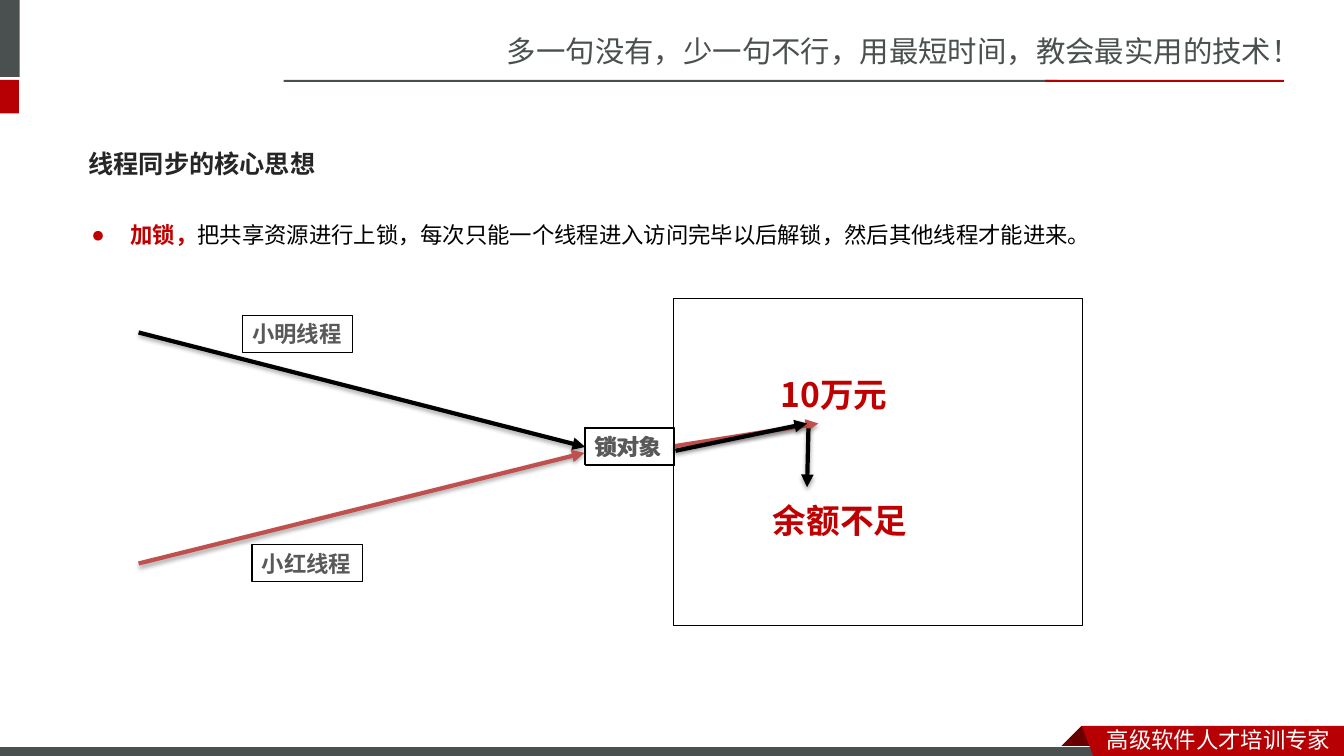
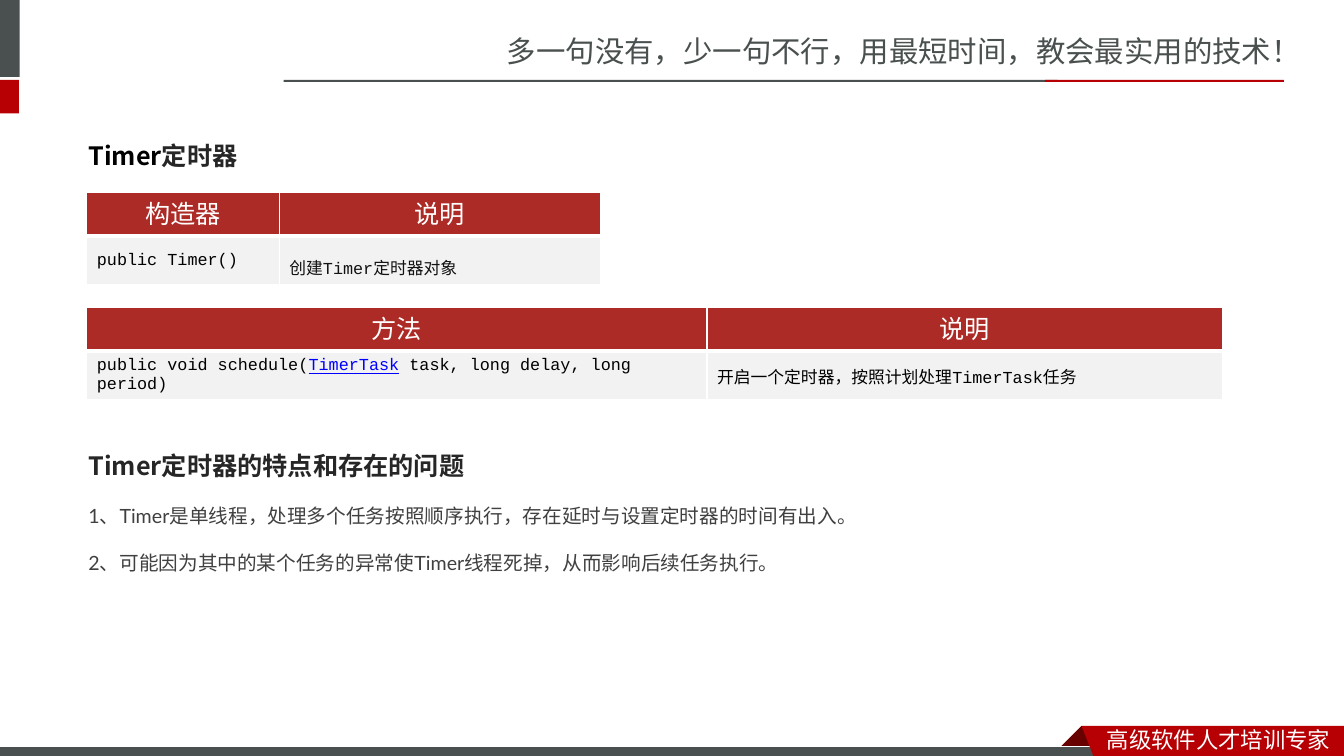
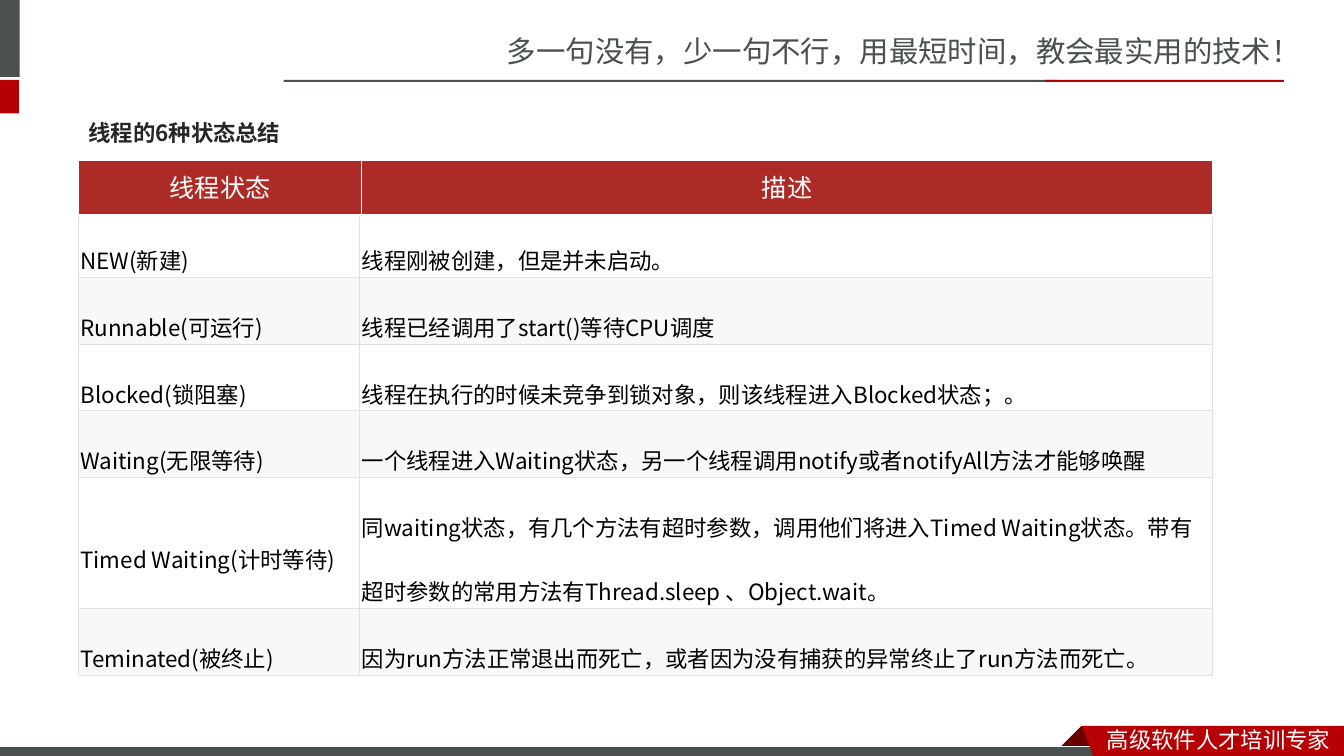
import pptx
import pptx.util
import pptx.oxml
import pptx.oxml.ns
import pptx.dml.color
import pptx.enum.shapes
import pptx.enum.text
import lxml.etree

Pt = pptx.util.Pt
RGB = pptx.dml.color.RGBColor.from_string
Shape = pptx.enum.shapes.MSO_SHAPE
Anchor = pptx.enum.text.MSO_ANCHOR
Align = pptx.enum.text.PP_ALIGN
qn = pptx.oxml.ns.qn

INK = {
    "slate": "49504F", "red": "B60004", "maroon": "680000", "white": "FFFFFF",
    "black": "000000", "dark": "262626", "grey": "595959", "text": "404040",
    "alert": "C00000", "rose": "C0504D", "head": "AD2B26", "pale": "F2F2F2",
    "mist": "F8F8F8", "rim": "DFE2E5", "link": "0000FF", "soft": "121212",
}
SC, JP = "Noto Sans CJK SC", "Noto Sans CJK JP"


def put(para, runs, look, form):
    """Fill a paragraph with (text, changes) runs, styled by look and form."""
    for key, val in form.items():
        setattr(para, key, val)
    for text, more in runs:
        run = para.add_run()
        run.text = text
        style = {"bold": False, **look, **more}
        run.font.color.rgb = RGB(INK[style.pop("ink")])
        for key, val in style.items():
            setattr(run.font, key, val)
        east = lxml.etree.SubElement(run.font._element, qn("a:ea"))
        east.set("typeface", JP if style["name"] == JP else SC)


def grid(slide, left, top, cols, bands, pad, rims):
    """Add a table; a band is (height, fill, look, form, cells), rims is
    (colour, sides, top of the first row, other lines)."""
    tall = sum(band[0] for band in bands)
    table = slide.shapes.add_table(
        len(bands), len(cols), Pt(left), Pt(top), Pt(sum(cols)), Pt(tall)).table
    table.horz_banding = False
    for col, wide in zip(table.columns, cols):
        col.width = Pt(wide)
    tone, side, first, rest = rims
    for r, (high, fill, look, form, cells) in enumerate(bands):
        table.rows[r].height = Pt(high)
        for c, runs in enumerate(cells):
            cell = table.cell(r, c)
            cell.vertical_anchor = Anchor.MIDDLE
            cell.margin_left = cell.margin_right = Pt(pad[0])
            cell.margin_top = cell.margin_bottom = Pt(pad[1])
            cell.fill.solid()
            cell.fill.fore_color.rgb = RGB(INK[fill])
            put(cell.text_frame.paragraphs[0], runs, look, form)
            props = cell._tc.get_or_add_tcPr()
            edges = {"lnL": side, "lnR": side, "lnT": rest if r else first, "lnB": rest}
            for spot, (tag, wide) in enumerate(edges.items()):
                edge = lxml.etree.Element(qn("a:" + tag), w=str(Pt(wide)))
                fore = lxml.etree.SubElement(edge, qn("a:solidFill"))
                lxml.etree.SubElement(fore, qn("a:srgbClr"), val=INK[tone])
                props.insert(spot, edge)
    return table


deck = pptx.Presentation()
deck.slide_width, deck.slide_height = Pt(960), Pt(540)

# Slides and their titles
titles = [
    (1, (56, 96, 847, 41), Anchor.MIDDLE, 1.0, 18, [("线程同步的核心思想", {})]),
    (1, (56, 75, 484, 45), Anchor.TOP, 2.0, 18,
     [("Timer", {"ink": "black"}), ("定时器", {})]),
    (5, (56, 74, 847, 41), Anchor.MIDDLE, 1.0, 16, [("线程的6种状态总结", {})]),
]
slides = []
for kind, box, anchor, space, size, runs in titles:
    slide = deck.slides.add_slide(deck.slide_layouts[kind])
    title = slide.shapes.title
    title.left, title.top, title.width, title.height = map(Pt, box)
    frame = title.text_frame
    frame.auto_size = pptx.enum.text.MSO_AUTO_SIZE.NONE
    frame.vertical_anchor = anchor
    put(frame.paragraphs[0], runs,
        {"name": JP, "size": Pt(size), "bold": True, "ink": "dark"},
        {"alignment": Align.LEFT, "line_spacing": space})
    slides.append(slide)
lock, timer, state = slides

# Bands and slogans, drawn once and moved to the master
bands = [
    ("slate", (-4, 0, 18, 55)),
    ("red", (-4, 57, 17.5, 24)),
    ("slate", (202.5, 57, 553, 1.5)),
    ("red", (746.5, 57, 170.5, 1.5)),
    ("maroon", [(772.5, 518.5), (788.5, 534.5), (787.5, 535), (757.5, 535), (756.5, 534.5)]),
    ("slate", (-0.5, 533.5, 792, 8.5)),
    ("red", [(772.5, 518.5), (960, 518.5), (960, 543), (782, 542.5)]),
]
shared = []
for tone, spot in bands:
    if isinstance(spot, list):
        dots = [(Pt(x), Pt(y)) for x, y in spot]
        pen = lock.shapes.build_freeform(*dots[0])
        pen.add_line_segments(dots[1:])
        band = pen.convert_to_shape()
    else:
        band = lock.shapes.add_shape(Shape.RECTANGLE, *map(Pt, spot))
    band.shadow.inherit = False
    band.fill.solid()
    band.fill.fore_color.rgb = RGB(INK[tone])
    band.line.fill.background()
    shared.append(band)
strip = shared[5]
strip.line.color.rgb = RGB(INK["white"])
strip.line.width = Pt(0.75)

slogans = [
    ("多一句没有，少一句不行，用最短时间，教会最实用的技术！", (355, 20, 605.5, 34), 21, "slate"),
    ("高级软件人才培训专家", (783.5, 515, 176.5, 27), 16, "white"),
]
for text, box, size, tone in slogans:
    label = lock.shapes.add_textbox(*map(Pt, box))
    label.text_frame.word_wrap = True
    put(label.text_frame.paragraphs[0], [(text, {})],
        {"name": SC, "size": Pt(size), "ink": tone}, {})
    shared.append(label)
for num, item in enumerate(shared, 101):
    item._element.nvSpPr.cNvPr.set("id", str(num))
    deck.slide_master.shapes._spTree.append(item._element)

# Body lists
note = {"name": "Lato", "size": Pt(14), "ink": "text"}
lists = [
    (lock, (58, 145, 847, 50), 1.5, 28, "●", [
        [("加锁，", {"bold": True, "ink": "alert"}),
         ("把共享资源进行上锁，每次只能一个线程进入访问完毕以后解锁，然后其他线程才能进来。", {})]],
     {"name": SC, "size": Pt(16), "ink": "black"}),
    (timer, (56, 296.5, 848, 114), 2.0, 0, None, [
        [("Timer定时器的特点和存在的问题",
          {"name": JP, "size": Pt(18), "bold": True, "ink": "dark"})],
        [("1、Timer是单线程，处理多个任务按照顺序执行，存在延时与设置定时器的时间有出入。", {})],
        [("2、可能因为其中的某个任务的异常使Timer线程死掉，从而影响后续任务执行。", {})]],
     note),
]
for slide, box, space, dent, mark, lines, look in lists:
    body = slide.placeholders[1]
    body.left, body.top, body.width, body.height = map(Pt, box)
    frame = body.text_frame
    frame.auto_size = pptx.enum.text.MSO_AUTO_SIZE.NONE
    for num, runs in enumerate(lines):
        para = frame.add_paragraph() if num else frame.paragraphs[0]
        put(para, runs, look, {"line_spacing": space, "space_before": Pt(0)})
        props = para._p.get_or_add_pPr()
        props.set("marL", str(Pt(dent)))
        props.set("indent", str(-Pt(dent)))
        if mark:
            lxml.etree.SubElement(props, qn("a:buChar"), char=mark)
        else:
            lxml.etree.SubElement(props, qn("a:buNone"))

# Lock diagram: boxes and arrows from back to front
tag = {"name": JP, "size": Pt(16), "bold": True, "ink": "grey"}
loud = {"name": JP, "size": Pt(24), "bold": True, "ink": "alert"}
parts = [
    ("box", "", (481, 213, 292, 234), tag),
    ("box", "锁对象", (418, 306, 64, 26.5), tag),
    ("arrow", "black", (99, 237.5, 418, 319), None),
    ("box", "小明线程", (173, 225, 79, 26.5), tag),
    ("arrow", "rose", (99, 402.5, 417.5, 323.5), None),
    ("box", "小红线程", (180, 389, 79, 26.5), tag),
    ("box", " 10万元", (545, 263.5, 142.5, 65.5), loud),
    ("arrow", "rose", (481, 318.5, 584.5, 302.5), None),
    ("box", "锁对象", (417.5, 305.5, 64, 26.5), tag),
    ("arrow", "black", (482.5, 322, 576.5, 302.5), None),
    ("arrow", "black", (577.5, 306, 576.5, 348), None),
    ("box", "余额不足", (545, 353.5, 142.5, 65.5), loud),
]
shade = pptx.oxml.parse_xml(
    '<a:effectLst xmlns:a="http://schemas.openxmlformats.org/drawingml/2006/main">'
    '<a:outerShdw blurRad="40000" dist="23000" dir="5400000" rotWithShape="0">'
    '<a:srgbClr val="000000"><a:alpha val="35000"/></a:srgbClr>'
    '</a:outerShdw></a:effectLst>')
drawn = []
for kind, text, spot, look in parts:
    if kind == "arrow":
        item = lock.shapes.add_connector(
            pptx.enum.shapes.MSO_CONNECTOR.STRAIGHT, *map(Pt, spot))
        item.line.color.rgb = RGB(INK[text])
        item.line.width = Pt(3)
        lxml.etree.SubElement(item.line._get_or_add_ln(), qn("a:tailEnd"), type="triangle")
        item._element.spPr.append(pptx.oxml.parse_xml(lxml.etree.tostring(shade)))
    else:
        item = lock.shapes.add_shape(Shape.RECTANGLE, *map(Pt, spot))
        item.shadow.inherit = False
        frame = item.text_frame
        frame.word_wrap = True
        if look is loud:
            item.fill.solid()
            item.fill.fore_color.rgb = RGB(INK["white"])
            item.line.fill.background()
            frame.vertical_anchor = Anchor.TOP
        else:
            item.fill.background()
            item.line.color.rgb = RGB(INK["black"])
            item.line.width = Pt(0.75)
            frame.vertical_anchor = Anchor.MIDDLE
        if text:
            put(frame.paragraphs[0], [(text, {})], look, {"alignment": Align.LEFT})
    drawn.append(item)
drawn[2].end_connect(drawn[1], 1)
drawn[7].begin_connect(drawn[8], 3)

# Timer tables
head = {"name": "Roboto", "size": Pt(18), "ink": "white"}
mid = {"alignment": Align.CENTER, "line_spacing": Pt(24)}
code = {"name": "Courier New", "size": Pt(12), "ink": "black"}
wide, tight = (7.2, 3.6), (1.5, 0.75)
frost = ("white", 1, 1, 3)
tables = [
    (137.5, (137.5, 229.5), ("构造器", "说明"),
     [[("public Timer()", {})], [("创建Timer定时器对象", {"ink": "soft"})]]),
    (219.5, (443, 368.5), ("方法", "说明"),
     [[("public void schedule(", {}), ("TimerTask", {"ink": "link", "underline": True}),
       (" task, long delay, long period)", {})],
      [("开启一个定时器，按照计划处理TimerTask任务", {})]]),
]
made = []
for top, cols, heads, cells in tables:
    made.append(grid(timer, 62, top, cols, [
        (24.5, "head", head, mid, [[(text, {})] for text in heads]),
        (35.5, "pale", code, {}, cells)], wide, frost))
para = made[0].cell(1, 1).text_frame.paragraphs[0]
para.line_spacing, para.space_before = 1.5, Pt(2.4)

# Thread states
rows = [
    (39, "NEW(新建)", "线程刚被创建，但是并未启动。"),
    (39, "Runnable(可运行)", "线程已经调用了start()等待CPU调度"),
    (32, "Blocked(锁阻塞)", "线程在执行的时候未竞争到锁对象，则该线程进入Blocked状态；。"),
    (36.5, "Waiting(无限等待)",
     "一个线程进入Waiting状态，另一个线程调用notify或者notifyAll方法才能够唤醒"),
    (82, "Timed Waiting(计时等待)",
     "同waiting状态，有几个方法有超时参数，调用他们将进入Timed Waiting状态。"
     "带有超时参数的常用方法有Thread.sleep 、Object.wait。"),
    (32, "Teminated(被终止)",
     "因为run方法正常退出而死亡，或者因为没有捕获的异常终止了run方法而死亡。"),
]
plain = {"name": JP, "size": Pt(16), "ink": "black"}
body = grid(state, 56, 150.5, (201, 609), [
    (high, "mist" if num % 2 else "white", plain, {"line_spacing": 2.0},
     [[(text, {})] for text in texts])
    for num, (high, *texts) in enumerate(rows)], tight, ("rim", 0.5, 0.5, 0.5))
body.first_row = False
grid(state, 56, 114.5, (202.5, 607.5), [
    (39.5, "head", head, mid, [[("线程状态", {})], [("描述", {})]])], wide, frost)

deck.save("out.pptx")
